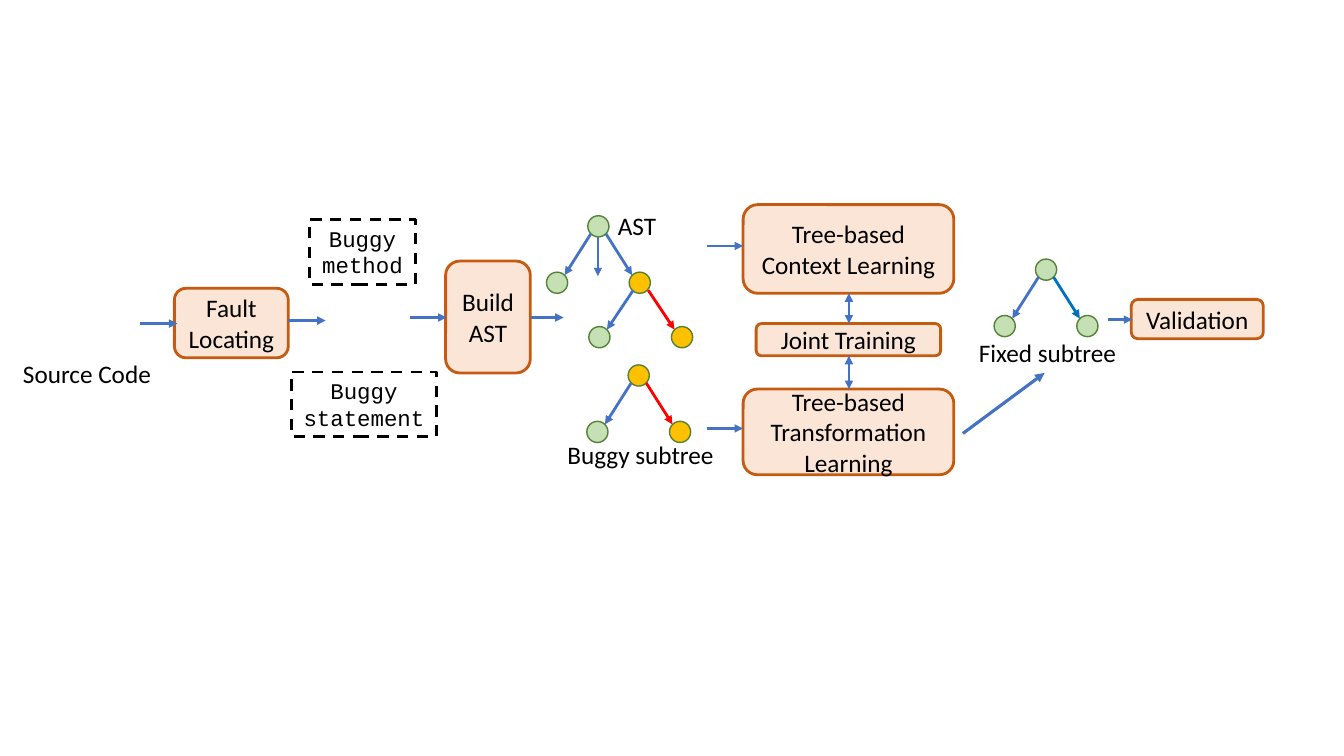
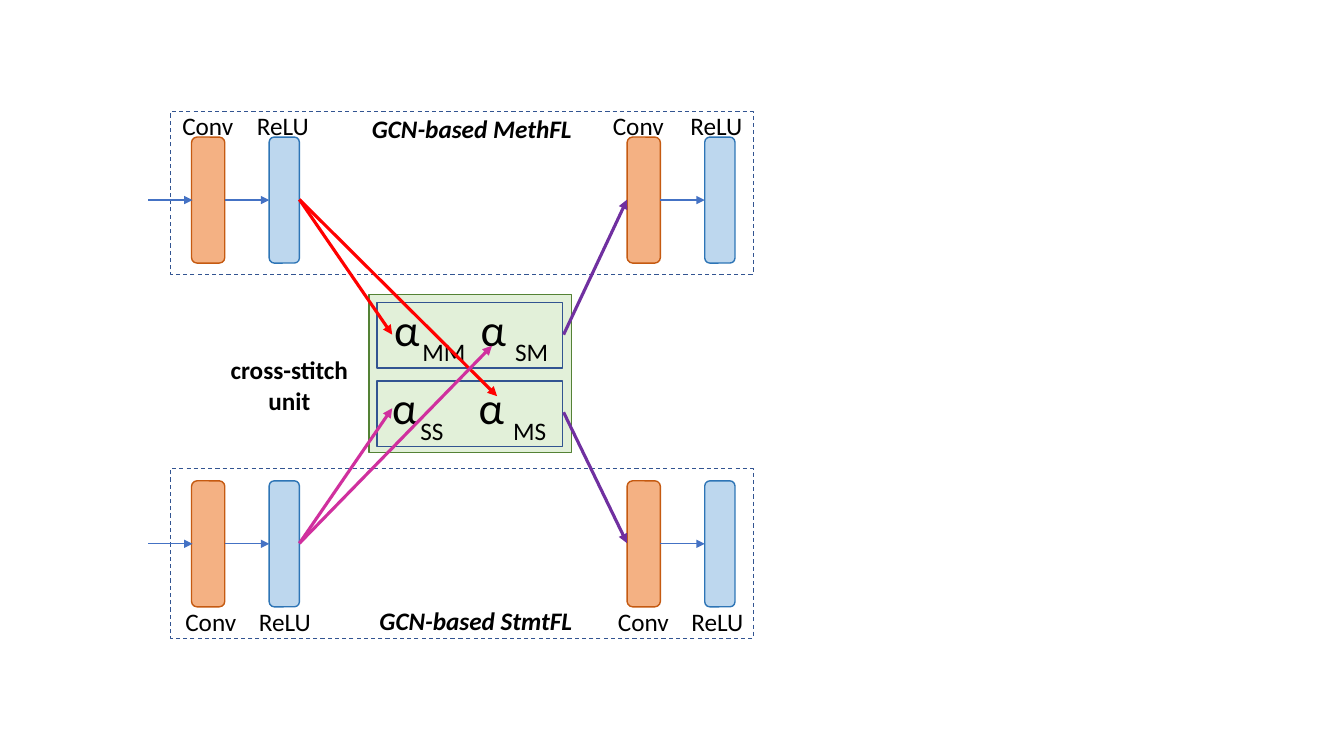
from lxml import etree
from pptx import Presentation
from pptx.dml.color import RGBColor
from pptx.enum.dml import MSO_LINE
from pptx.enum.shapes import MSO_CONNECTOR, MSO_SHAPE
from pptx.enum.text import MSO_ANCHOR, PP_ALIGN
from pptx.oxml.ns import qn
from pptx.util import Inches, Pt

COLUMNS, ROWS = 13.33, 7.5
CELL = Inches(1)  # the grid has square cells; positions are (column, row)
BLANK_LAYOUT = 6
OVAL, BOX, ROUNDED = MSO_SHAPE.OVAL, MSO_SHAPE.RECTANGLE, MSO_SHAPE.ROUNDED_RECTANGLE
STRAIGHT = MSO_CONNECTOR.STRAIGHT
DASH = MSO_LINE.DASH
LEFT, CENTER = PP_ALIGN.LEFT, PP_ALIGN.CENTER
TOP, MIDDLE = MSO_ANCHOR.TOP, MSO_ANCHOR.MIDDLE
BODY_FONT, CODE_FONT = "Calibri", "Courier New"
NODE_SIZE = 0.21
TREE_SPREAD = 0.41
BAR_HEIGHT = 1.25
COLORS = {
    "text": "000000",
    "arrow": "4472C4",
    "changed": "FF0000",
    "fixed": "0070C0",
    "step": "FBE5D6",
    "step_line": "C55A11",
    "node": "C5E0B4",
    "buggy_node": "FFC000",
    "green_line": "548235",
    "stitch": "E2F0D9",
    "frame": "325491",
    "conv": "F4B183",
    "relu": "BDD7EE",
    "relu_line": "2E75B6",
    "statement": "D0309E",
    "output": "7030A0",
}


def grid(*cells):
    """Turn grid distances into slide lengths."""
    return [int(cell * CELL) for cell in cells]


def color(name):
    """Look up a named colour."""
    return RGBColor.from_string(COLORS[name])


def write(shape, text, size=18, font=BODY_FONT, align=LEFT, anchor=TOP,
          bold=False, italic=False):
    """Write one paragraph into a shape, with a line break at each newline."""
    frame = shape.text_frame
    frame.word_wrap = True
    frame.vertical_anchor = anchor
    paragraph = frame.paragraphs[0]
    paragraph.alignment = align
    for index, line in enumerate(text.split("\n")):
        if index:
            paragraph.add_line_break()
        run = paragraph.add_run()
        run.text = line
        run.font.name = font
        run.font.size = Pt(size)
        run.font.bold = bold
        run.font.italic = italic
        run.font.color.rgb = color("text")


def add_label(shapes, at, text, **style):
    """Add a plain text box."""
    write(shapes.add_textbox(*grid(*at)), text, **style)


def add_box(shapes, kind, at, fill, line, width=1, dash=None):
    """Add an outlined preset shape, filled when a fill is named."""
    shape = shapes.add_shape(kind, *grid(*at))
    shape.shadow.inherit = False
    if fill:
        shape.fill.solid()
        shape.fill.fore_color.rgb = color(fill)
    else:
        shape.fill.background()
    shape.line.color.rgb = color(line)
    shape.line.width = Pt(width)
    if dash:
        shape.line.dash_style = dash
    return shape


def add_arrow(shapes, start, end, line="arrow", width=2, both=False):
    """Add a straight arrow, pointing both ways on request."""
    connector = shapes.add_connector(STRAIGHT, *grid(*start, *end))
    connector.line.color.rgb = color(line)
    connector.line.width = Pt(width)
    properties = connector.line._get_or_add_ln()
    for tag in ("a:headEnd", "a:tailEnd") if both else ("a:tailEnd",):
        etree.SubElement(properties, qn(tag), type="triangle")
    etree.SubElement(connector._element.spPr, qn("a:effectLst"))


def add_step(shapes, at, text):
    """Add a rounded process step."""
    shape = add_box(shapes, ROUNDED, at, "step", "step_line", 2)
    write(shape, text, align=CENTER, anchor=MIDDLE)


def add_code(shapes, at, text):
    """Add a dashed box for a piece of code."""
    shape = add_box(shapes, BOX, at, None, "text", 2, DASH)
    write(shape, text, size=16, font=CODE_FONT, align=CENTER)


def add_node(shapes, column, row, fill):
    """Add one tree node."""
    add_box(shapes, OVAL, (column, row, NODE_SIZE, NODE_SIZE), fill, "green_line")


def add_branches(shapes, column, row, right_fill, right_edge, drop=0.56):
    """Add the two children of the node at a position, and their edges."""
    near, far = 0.03, 0.18
    add_node(shapes, column - TREE_SPREAD, row + drop, "node")
    add_node(shapes, column + TREE_SPREAD, row + drop, right_fill)
    add_arrow(shapes, (column + near, row + far),
              (column - TREE_SPREAD + far, row + drop + near))
    add_arrow(shapes, (column + far, row + far),
              (column + TREE_SPREAD + near, row + drop + near), right_edge)


def add_tree(slide, column, row, root_fill, right_fill, right_edge):
    """Add a grouped tree of a root and two children."""
    shapes = slide.shapes.add_group_shape().shapes
    add_node(shapes, column, row, root_fill)
    add_branches(shapes, column, row, right_fill, right_edge)
    return shapes


def build_pipeline(slide):
    """Draw the repair pipeline from source code to validation."""
    shapes = slide.shapes
    add_tree(slide, 6.23, 3.62, "buggy_node", "buggy_node", "changed")
    add_tree(slide, 10.27, 2.57, "node", "node", "fixed")
    syntax_tree = add_tree(slide, 5.83, 2.14, "node", "buggy_node", "arrow")
    add_arrow(syntax_tree, (5.93, 2.35), (5.93, 2.74), width=1)
    add_branches(syntax_tree, 6.25, 2.7, "buggy_node", "changed", 0.54)

    for at, text in (
        ((1.73, 2.86, 1.13, 0.69), "Fault Locating"),
        ((4.42, 2.59, 0.84, 1.11), "Build\nAST"),
        ((7.37, 2.03, 2.09, 0.88), "Tree-based Context Learning"),
        ((7.5, 3.21, 1.83, 0.32), "Joint Training"),
        ((7.37, 3.86, 2.09, 0.85), "Tree-based Transformation Learning"),
        ((11.22, 2.97, 1.31, 0.39), "Validation"),
    ):
        add_step(shapes, at, text)

    add_code(shapes, (3.07, 2.18, 1.05, 0.64), "Buggy method")
    add_code(shapes, (2.89, 3.69, 1.44, 0.64), "Buggy statement")

    for column, row, width, text in (
        (0.13, 3.51, 1.5, "Source Code"),
        (6.03, 2.04, 1.83, "AST"),
        (5.53, 4.31, 2.13, "Buggy subtree"),
        (9.61, 3.3, 1.62, "Fixed subtree"),
    ):
        add_label(shapes, (column, row, width, 0.4), text)

    for start, end, row in (
        (1.39, 1.76, 3.21), (2.86, 3.23, 3.18), (4.07, 4.43, 3.15),
        (5.27, 5.59, 3.15), (7.01, 7.37, 2.44), (7.01, 7.37, 4.25),
        (10.99, 11.23, 3.17),
    ):
        add_arrow(shapes, (start, row), (end, row))
    for start, end in ((2.91, 3.21), (3.53, 3.86)):
        add_arrow(shapes, (8.42, start), (8.42, end), both=True)
    add_arrow(shapes, (9.55, 4.3), (10.36, 3.7), width=2.25)


def add_network(shapes, frame_row, frame_height, bar_row, title_at, title,
                label_row, label_columns):
    """Add one dashed network panel with its two Conv and ReLU pairs."""
    add_box(shapes, BOX, (1.69, frame_row, 5.78, frame_height),
            None, "frame", 0.75, DASH)
    add_label(shapes, (*title_at, 3.4, 0.36), title,
              align=CENTER, bold=True, italic=True)
    middle = bar_row + BAR_HEIGHT / 2
    for column in (1.9, 6.22):
        relu_column = column + 0.77
        add_box(shapes, ROUNDED, (relu_column, bar_row, 0.3, BAR_HEIGHT),
                "relu", "relu_line")
        add_box(shapes, ROUNDED, (column, bar_row, 0.33, BAR_HEIGHT),
                "conv", "step_line")
        add_arrow(shapes, (column + 0.33, middle), (relu_column, middle), width=1)
    add_arrow(shapes, (1.47, middle), (1.91, middle), width=1)
    for column, text in zip(label_columns, ("Conv", "ReLU") * 2):
        add_label(shapes, (column, label_row, 0.96, 0.36), text)


def add_weights(slide, row, column, names):
    """Add a framed pair of alpha weights with their subscripts."""
    shapes = slide.shapes.add_group_shape().shapes
    for index, name in enumerate(names):
        left = column + index * 0.86
        add_label(shapes, (left, row - 0.06, 0.5, 0.58), "α", size=32)
        add_label(shapes, (left + 0.28 + index * 0.06, row + 0.29, 0.75, 0.36), name)
    add_box(shapes, BOX, (3.74, row, 1.84, 0.65), None, "frame")


def build_cross_stitch(slide):
    """Draw two networks joined by the cross-stitch unit."""
    shapes = slide.shapes
    add_box(shapes, BOX, (3.66, 2.92, 2.01, 1.57), "stitch", "green_line")
    add_weights(slide, 3, 3.81, ("MM", "SM"))
    add_weights(slide, 3.78, 3.79, ("SS", "MS"))
    add_network(shapes, 1.11, 1.61, 1.36, (2.98, 1.08), "GCN-based MethFL",
                1.05, (1.71, 2.45, 5.98, 6.75))
    add_network(shapes, 4.65, 1.68, 4.77, (3.02, 5.96), "GCN-based StmtFL",
                5.97, (1.74, 2.47, 6.03, 6.76))
    add_label(shapes, (2.17, 3.47, 1.4, 0.64), "cross-stitch unit",
              align=CENTER, bold=True)
    method_output, statement_output = (2.97, 1.98), (2.97, 5.39)
    for start, end, line in (
        (method_output, (4.93, 3.93), "changed"),
        (method_output, (3.89, 3.32), "changed"),
        (statement_output, (3.89, 4.05), "statement"),
        (statement_output, (4.88, 3.43), "statement"),
        ((5.59, 3.32), (6.22, 1.98), "output"),
        ((5.59, 4.09), (6.22, 5.39), "output"),
    ):
        add_arrow(shapes, start, end, line, 2.25)


def main():
    """Build and save the presentation."""
    presentation = Presentation()
    presentation.slide_width, presentation.slide_height = grid(COLUMNS, ROWS)
    layout = presentation.slide_layouts[BLANK_LAYOUT]
    for build in (build_pipeline, build_cross_stitch):
        build(presentation.slides.add_slide(layout))
    presentation.save("out.pptx")


main()
